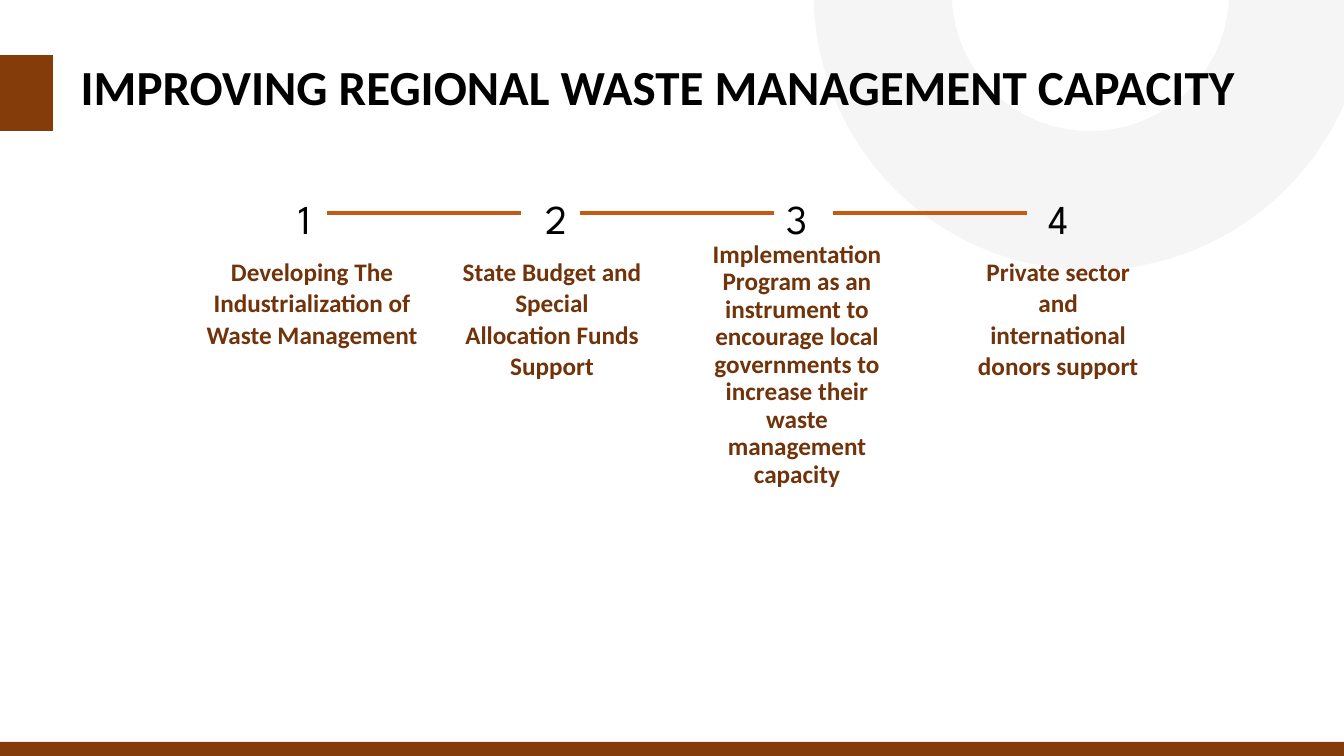
import lxml.etree
import pptx
import pptx.dml.color
import pptx.enum.shapes
import pptx.enum.text
import pptx.oxml.ns
import pptx.util

Inches = pptx.util.Inches
Pt = pptx.util.Pt
Align = pptx.enum.text.PP_ALIGN
qn = pptx.oxml.ns.qn

TITLE = "IMPROVING REGIONAL WASTE MANAGEMENT CAPACITY"
# number left, text box (left, top, width, height), line spacing in points, text
STEPS = [
    (2.8, (2.02, 2.53, 2.15, 1.22), 22.42,
     "Developing The Industrialization of Waste Management"),
    (5.3, (4.58, 2.53, 1.79, 1.53), 22.42,
     "State Budget and Special Allocation Funds Support"),
    (7.69, (6.89, 2.39, 2.03, 2.52), 19.63,
     "Implementation Program as an instrument to encourage local "
     "governments to increase their waste management capacity"),
    (10.28, (9.6, 2.53, 1.79, 0.92), 22.42,
     "Private sector and international donors support"),
]
LINE_START, LINE_STEP, LINE_LENGTH, LINE_TOP = 3.24, 2.51, 1.93, 2.11
# Half ring: each segment is its end point, after two control points if curved
RING_START = (8.07, -0.07)
RING_SEGMENTS = [
    [(9.44, -0.07)],
    [(9.44, 0.69), (10.05, 1.3), (10.81, 1.3)],
    [(11.57, 1.3), (12.19, 0.69), (12.19, -0.07)],
    [(13.56, -0.07)],
    [(13.56, 1.45), (12.33, 2.68), (10.81, 2.68)],
    [(9.3, 2.68), (8.07, 1.45), RING_START],
]
MARKER_START = (0, 0.55)
MARKER_SEGMENTS = [[(0.53, 0.55)], [(0.53, 1.3)], [(0, 1.3)]]
BROWN, DARK_BROWN, ORANGE, GRAY, BLACK = "843C0B", "70330A", "C55A11", "D0CECE", "000000"


def rgb(value):
    return pptx.dml.color.RGBColor.from_string(value)


def fill_shape(shape, color):
    shape.shadow.inherit = False
    shape.fill.solid()
    shape.fill.fore_color.rgb = rgb(color)
    shape.line.fill.background()


def add_text(slide, place, text, size, color=BLACK, font="Calibri",
             bold=False, align=Align.CENTER, spacing=1.0):
    box = slide.shapes.add_textbox(*map(Inches, place))
    frame = box.text_frame
    frame.word_wrap = True
    frame.auto_size = pptx.enum.text.MSO_AUTO_SIZE.SHAPE_TO_FIT_TEXT
    frame.margin_left = frame.margin_right = 0
    frame.margin_top = frame.margin_bottom = 0
    para = frame.paragraphs[0]
    para.alignment = align
    para.line_spacing = spacing
    span = para.add_run()
    span.text = text
    span.font.name = font
    span.font.size = Pt(size)
    span.font.bold = bold
    span.font.color.rgb = rgb(color)


def add_outline(slide, start, segments, color):
    """Draw a closed, filled outline of straight and cubic segments."""
    builder = slide.shapes.build_freeform(*map(Inches, start), scale=1.0)
    builder.add_line_segments(
        [tuple(map(Inches, segment[-1])) for segment in segments], close=True)
    shape = builder.convert_to_shape()
    fill_shape(shape, color)
    steps = list(shape._element.iter(qn("a:lnTo")))
    for step, segment in zip(steps, segments):
        if len(segment) == 1:
            continue
        curve = lxml.etree.Element(qn("a:cubicBezTo"))
        for x, y in segment:
            lxml.etree.SubElement(curve, qn("a:pt"),
                                  x=str(Inches(x) - shape.left),
                                  y=str(Inches(y) - shape.top))
        step.getparent().replace(step, curve)
    return shape


def add_line(slide, left):
    line = slide.shapes.add_connector(
        pptx.enum.shapes.MSO_CONNECTOR.STRAIGHT, Inches(left), Inches(LINE_TOP),
        Inches(left + LINE_LENGTH), Inches(LINE_TOP))
    line.line.color.rgb = rgb(ORANGE)
    line.line.width = Pt(3)
    lxml.etree.SubElement(line._element.spPr, qn("a:effectLst"))


def main():
    deck = pptx.Presentation()
    deck.slide_width, deck.slide_height = Inches(13.33), Inches(7.5)
    page = deck.slides.add_slide(deck.slide_layouts[6])

    ring = add_outline(page, RING_START, RING_SEGMENTS, GRAY)
    ring_color = next(ring._element.spPr.iter(qn("a:srgbClr")))
    lxml.etree.SubElement(ring_color, qn("a:alpha"), val="20000")

    for _, place, spacing, text in STEPS:
        add_text(page, place, text, 18, color=DARK_BROWN, bold=True,
                 spacing=Pt(spacing))
    for number, (left, *_) in enumerate(STEPS, 1):
        add_text(page, (left, 1.84, 0.44, 0.55), str(number), 29.3,
                 font="League Spartan", spacing=Pt(41.1))
    for index in range(len(STEPS) - 1):
        add_line(page, LINE_START + index * LINE_STEP)

    footer = page.shapes.add_shape(
        pptx.enum.shapes.MSO_SHAPE.RECTANGLE,
        *map(Inches, (0, 7.36, 13.33, 0.14)))
    fill_shape(footer, BROWN)
    add_text(page, (0.8, 0.63, 14.03, 0.53), TITLE, 35, bold=True,
             align=Align.LEFT, spacing=0.9)
    add_outline(page, MARKER_START, MARKER_SEGMENTS, BROWN)
    deck.save("out.pptx")


if __name__ == "__main__":
    main()
